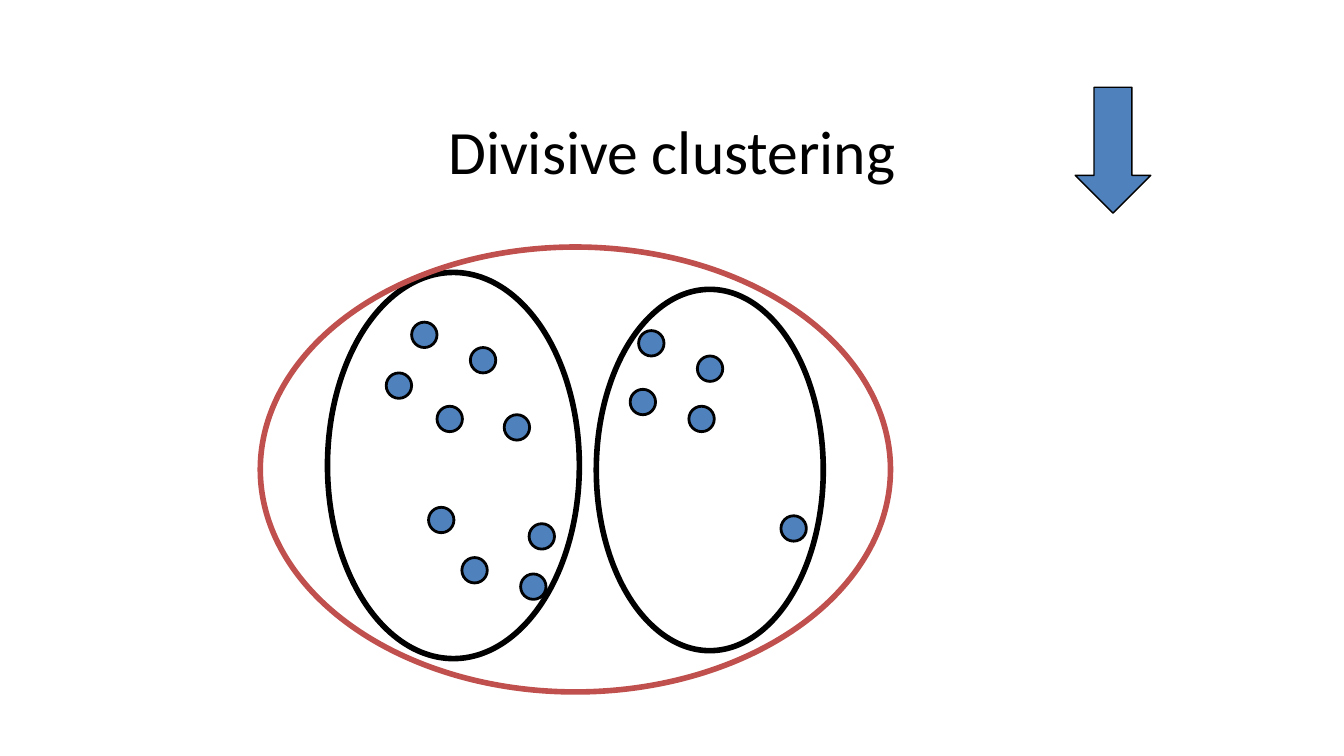
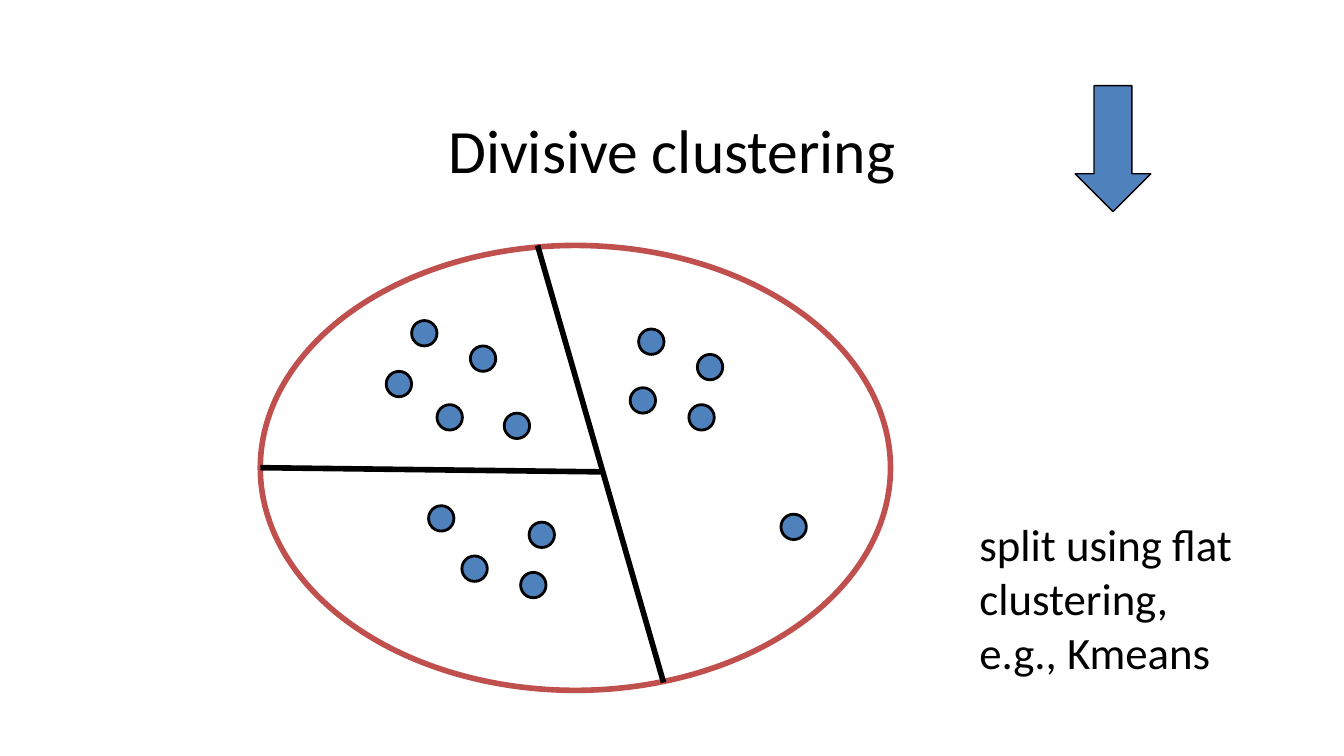
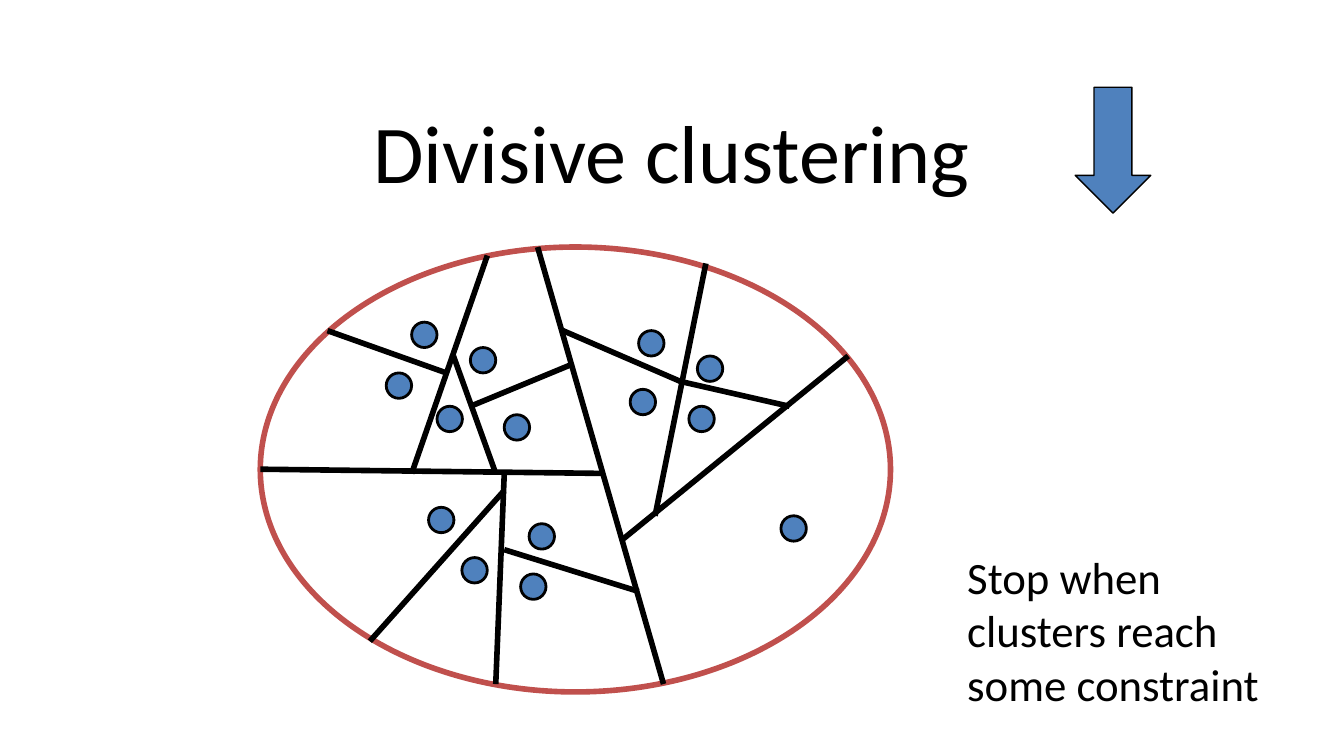
from dataclasses import dataclass
from typing import NamedTuple

from lxml import etree
from pptx import Presentation
from pptx.dml.color import RGBColor
from pptx.enum.shapes import MSO_CONNECTOR, MSO_SHAPE
from pptx.enum.text import MSO_ANCHOR, MSO_AUTO_SIZE, PP_ALIGN
from pptx.oxml.ns import qn
from pptx.util import Cm, Pt

ELLIPSE, DOWN_ARROW = MSO_SHAPE.OVAL, MSO_SHAPE.DOWN_ARROW
STRAIGHT = MSO_CONNECTOR.STRAIGHT
MIDDLE, TOP = MSO_ANCHOR.MIDDLE, MSO_ANCHOR.TOP
CENTER, LEFT = PP_ALIGN.CENTER, PP_ALIGN.LEFT
GROW, FIXED = MSO_AUTO_SIZE.SHAPE_TO_FIT_TEXT, MSO_AUTO_SIZE.NONE

BLACK = RGBColor(0x00, 0x00, 0x00)
BLUE = RGBColor(0x4F, 0x81, 0xBD)
RED = RGBColor(0xC0, 0x50, 0x4D)
FONT = "Calibri"
BLANK_LAYOUT = 6


# All lengths below are in centimetres
class Area(NamedTuple):
    left: float
    top: float
    width: float
    height: float


class Point(NamedTuple):
    x: float
    y: float


class Divider(NamedTuple):
    start: Point
    end: Point


class Note(NamedTuple):
    text: str
    area: Area


@dataclass(frozen=True)
class ClusterPage:
    title_size: int
    shift: float = 0
    groups: tuple[Area, ...] = ()
    dividers: tuple[Divider, ...] = ()
    note: Note | None = None


# Parts shared by every slide
TITLE = "Divisive clustering"
TITLE_AREA = Area(4.6, 1.65, 16.2, 2.38)
ARROW_AREA = Area(20.32, 1.65, 1.43, 2.38)
WHOLE_SET = Area(4.92, 4.67, 11.91, 8.41)
DOT_SIZE = 0.48
DOTS = (
    Point(7.78, 6.09), Point(7.3, 7.05), Point(8.26, 7.68), Point(8.89, 6.57),
    Point(9.53, 7.84), Point(11.91, 7.36), Point(12.07, 6.25),
    Point(13.18, 6.73), Point(13.02, 7.68), Point(14.76, 9.75),
    Point(8.73, 10.54), Point(8.1, 9.59), Point(10, 9.9), Point(9.84, 10.85),
)

# Successive splits of the set
TWO_GROUPS = (Area(6.19, 5.15, 4.76, 7.3), Area(11.27, 5.47, 4.29, 6.83))
FIRST_SPLITS = (
    Divider(Point(10.16, 4.67), Point(12.54, 12.93)),
    Divider(Point(4.92, 8.87), Point(11.43, 8.95)),
)
RIGHT_CROSSING = Point(12.86, 7.21)
FINAL_SPLITS = (
    Divider(Point(11.75, 10.21), Point(16.03, 6.73)),
    Divider(Point(9.53, 8.95), Point(9.37, 12.93)),
    Divider(Point(9.53, 9.27), Point(6.99, 12.12)),
    Divider(Point(9.53, 10.39), Point(12.07, 11.18)),
    Divider(Point(7.78, 8.95), Point(9.21, 4.83)),
    Divider(Point(8.41, 7.04), Point(6.19, 6.25)),
    Divider(Point(8.57, 6.73), Point(9.37, 8.95)),
    Divider(Point(8.89, 7.68), Point(10.8, 6.89)),
    Divider(Point(12.38, 9.75), Point(13.34, 4.98)),
    Divider(RIGHT_CROSSING, Point(14.92, 7.68)),
    Divider(RIGHT_CROSSING, Point(10.64, 6.25)),
)

PAGES = (
    ClusterPage(33, groups=TWO_GROUPS),
    ClusterPage(
        33, shift=-0.03, dividers=FIRST_SPLITS,
        note=Note("split using flat clustering, e.g., Kmeans",
                  Area(18.26, 9.68, 5.4, 3.33)),
    ),
    ClusterPage(
        44, dividers=FIRST_SPLITS + FINAL_SPLITS,
        note=Note("Stop when clusters reach some constraint",
                  Area(18.03, 10.26, 6.48, 3.33)),
    ),
)


def place(area: Area, shift: float) -> tuple[Cm, Cm, Cm, Cm]:
    return (Cm(area.left), Cm(area.top + shift),
            Cm(area.width), Cm(area.height))


def add_figure(page, kind, area: Area, shift: float, line_width: float,
               line_color: RGBColor = BLACK,
               fill: RGBColor | None = None) -> None:
    figure = page.shapes.add_shape(kind, *place(area, shift))
    figure.shadow.inherit = False
    if fill is None:
        figure.fill.background()
    else:
        figure.fill.solid()
        figure.fill.fore_color.rgb = fill
    figure.line.color.rgb = line_color
    figure.line.width = Pt(line_width)


def add_divider(page, divider: Divider, shift: float) -> None:
    start, end = divider
    line = page.shapes.add_connector(
        STRAIGHT, Cm(start.x), Cm(start.y + shift),
        Cm(end.x), Cm(end.y + shift))
    line.line.color.rgb = BLACK
    line.line.width = Pt(3)
    etree.SubElement(line._element.spPr, qn("a:effectLst"))


def add_text(page, text: str, area: Area, shift: float, size: int,
             align=LEFT, anchor=TOP, fit=FIXED) -> None:
    box = page.shapes.add_textbox(*place(area, shift))
    frame = box.text_frame
    frame.word_wrap = True
    frame.auto_size = fit
    frame.vertical_anchor = anchor
    para = frame.paragraphs[0]
    para.text = text
    para.alignment = align
    para.font.name = FONT
    para.font.size = Pt(size)
    para.font.color.rgb = BLACK


def draw_page(page, content: ClusterPage) -> None:
    shift = content.shift
    add_text(page, TITLE, TITLE_AREA, shift, content.title_size,
             CENTER, MIDDLE)
    # Data points and the regions around them
    for dot in DOTS:
        add_figure(page, ELLIPSE, Area(dot.x, dot.y, DOT_SIZE, DOT_SIZE),
                   shift, 1.5, fill=BLUE)
    for group in content.groups:
        add_figure(page, ELLIPSE, group, shift, 3)
    add_figure(page, ELLIPSE, WHOLE_SET, shift, 3, RED)
    for divider in content.dividers:
        add_divider(page, divider, shift)
    # Remark and top-down arrow
    if content.note:
        add_text(page, content.note.text, content.note.area, shift, 24,
                 fit=GROW)
    add_figure(page, DOWN_ARROW, ARROW_AREA, shift, 0.75, fill=BLUE)


def main() -> None:
    deck = Presentation()
    deck.slide_width, deck.slide_height = Cm(25.4), Cm(14.29)
    for content in PAGES:
        draw_page(deck.slides.add_slide(deck.slide_layouts[BLANK_LAYOUT]),
                  content)
    deck.save("out.pptx")


if __name__ == "__main__":
    main()
